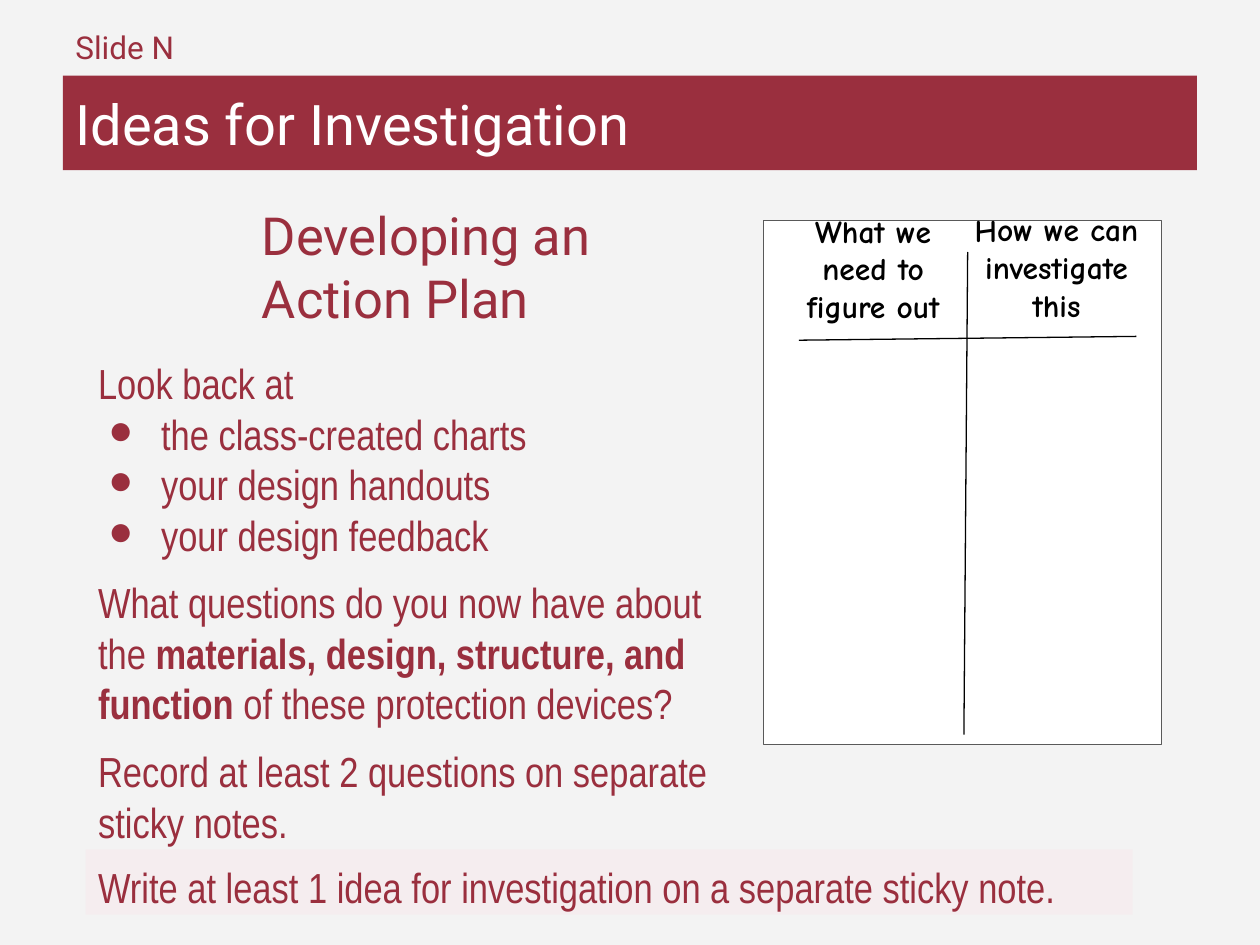
from lxml.etree import SubElement
from pptx import Presentation
from pptx.dml.color import RGBColor
from pptx.enum.shapes import MSO_CONNECTOR as Connector, MSO_SHAPE as Shape
from pptx.enum.text import MSO_ANCHOR as Anchor, PP_ALIGN as Align
from pptx.oxml.ns import qn
from pptx.util import Inches, Pt

COLORS = {
    "background": "F3F3F3",
    "maroon": "9A2F3E",
    "white": "FFFFFF",
    "blush": "F5EDEF",
    "border": "595959",
    "black": "000000",
}
BODY_FONT, HEADING_FONT, CHART_FONT = "Arial Narrow", "Roboto", "Comic Neue"


def color(name):
    """Return the named palette colour."""
    return RGBColor.from_string(COLORS[name])


def add_panel(slide, box, fill, border=None):
    """Add a flat rectangle with an optional thin border."""
    panel = slide.shapes.add_shape(Shape.RECTANGLE, *map(Inches, box))
    panel.shadow.inherit = False
    panel.fill.solid()
    panel.fill.fore_color.rgb = color(fill)
    if border:
        panel.line.color.rgb = color(border)
        panel.line.width = Pt(0.75)
    else:
        panel.line.fill.background()
    return panel


def add_text_box(slide, box):
    """Add an empty text box."""
    return slide.shapes.add_textbox(*map(Inches, box))


def prepare_frame(shape, margin=0.1, anchor=Anchor.TOP):
    """Set wrapping, margins and anchor, and return the text frame."""
    frame = shape.text_frame
    frame.word_wrap = True
    frame.vertical_anchor = anchor
    frame.margin_left = frame.margin_right = Inches(margin)
    frame.margin_top = frame.margin_bottom = Inches(margin)
    return frame


def write(paragraph, words, size, font, tint="maroon", bold=False, align=Align.LEFT):
    """Append one formatted run to a paragraph."""
    paragraph.alignment = align
    run = paragraph.add_run()
    run.text = words
    run.font.size = Pt(size)
    run.font.name = font
    run.font.bold = bold
    run.font.color.rgb = color(tint)


def add_bullet(paragraph):
    """Give a paragraph a hanging maroon bullet."""
    props = paragraph._p.get_or_add_pPr()
    props.set("marL", str(Inches(0.5)))
    props.set("indent", str(Inches(-0.42)))
    SubElement(SubElement(props, qn("a:buClr")), qn("a:srgbClr")).set("val", COLORS["maroon"])
    SubElement(props, qn("a:buFont")).set("typeface", BODY_FONT)
    SubElement(props, qn("a:buChar")).set("char", "●")


def add_rule(slide, start, end):
    """Draw a thin black line between two points."""
    rule = slide.shapes.add_connector(Connector.STRAIGHT, *map(Inches, start + end))
    rule.line.color.rgb = color("black")
    rule.line.width = Pt(0.75)
    SubElement(rule._element.spPr, qn("a:effectLst"))


def add_instructions(slide):
    """Add the review list and the question prompts."""
    look_back = ["the class-created charts", "your design handouts", "your design feedback"]
    prompts = [
        [
            ("What questions do you now have about the ", False),
            ("materials, design, structure, and function", True),
            (" of these protection devices?", False),
        ],
        [("Record at least 2 questions on separate sticky notes.", False)],
    ]
    frame = prepare_frame(add_text_box(slide, (0.68, 2.74, 5.08, 3.6)))
    write(frame.paragraphs[0], "Look back at", 24, BODY_FONT)
    for item in look_back:
        paragraph = frame.add_paragraph()
        add_bullet(paragraph)
        write(paragraph, item, 24, BODY_FONT)
    for prompt in prompts:
        paragraph = frame.add_paragraph()
        paragraph.space_before = Pt(10)
        for words, bold in prompt:
            write(paragraph, words, 24, BODY_FONT, bold=bold)


def add_headings(slide):
    """Add the slide label, title bar and subheading."""
    label = prepare_frame(add_text_box(slide, (0.5, 0.08, 3.44, 0.52))).paragraphs[0]
    label.line_spacing = 1.15
    label.space_after = Pt(16)
    write(label, "Slide N", 18, HEADING_FONT)

    title_bar = add_panel(slide, (0.5, 0.6, 9, 0.75), "maroon")
    title = prepare_frame(title_bar, anchor=Anchor.MIDDLE).paragraphs[0]
    write(title, "Ideas for Investigation", 32, HEADING_FONT, "white")

    subheading = prepare_frame(add_text_box(slide, (1.98, 1.51, 3.03, 1.28))).paragraphs[0]
    write(subheading, "Developing an Action Plan", 30, HEADING_FONT)


def add_planning_chart(slide):
    """Add the two-column planning chart."""
    columns = [
        ("What we need to figure out", (6.3, 1.95, 1.26, 0.63), 0),
        ("How we can investigate this", (7.59, 1.86, 1.59, 0.71), 359.9),
    ]
    add_panel(slide, (6.06, 1.75, 3.16, 4.16), "white", "border")
    for words, box, angle in columns:
        column = add_text_box(slide, box)
        column.rotation = angle
        heading = prepare_frame(column, 0, Anchor.BOTTOM).paragraphs[0]
        write(heading, words, 18, CHART_FONT, "black", True, Align.CENTER)
    add_rule(slide, (6.34, 2.7), (9.02, 2.67))
    add_rule(slide, (7.65, 5.83), (7.68, 2))


def add_closing_task(slide):
    """Add the highlighted last task."""
    highlight = add_panel(slide, (0.68, 6.74, 8.31, 0.52), "blush")
    task = prepare_frame(highlight).paragraphs[0]
    write(task, "Write at least 1 idea for investigation on a separate sticky note.", 24, BODY_FONT)


def main():
    """Build and save the slide."""
    deck = Presentation()
    deck.slide_width, deck.slide_height = Inches(10), Inches(7.5)
    slide = deck.slides.add_slide(deck.slide_layouts[6])
    slide.background.fill.solid()
    slide.background.fill.fore_color.rgb = color("background")
    add_instructions(slide)
    add_headings(slide)
    add_planning_chart(slide)
    add_closing_task(slide)
    deck.save("out.pptx")


if __name__ == "__main__":
    main()
